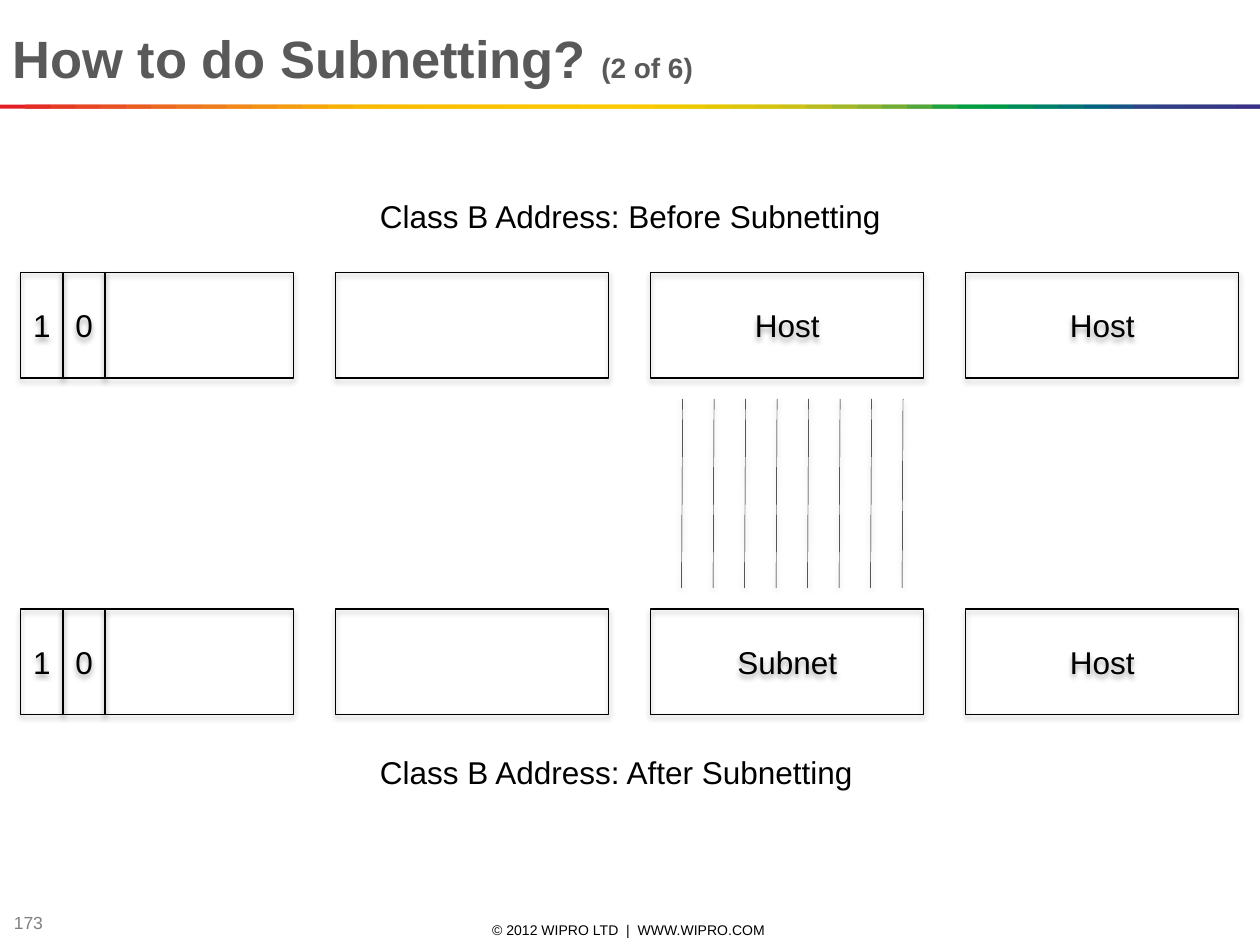
from pptx import Presentation
from pptx.dml.color import RGBColor
from pptx.enum.shapes import MSO_CONNECTOR, MSO_SHAPE
from pptx.enum.text import MSO_ANCHOR, PP_ALIGN
from pptx.oxml import parse_xml
from pptx.oxml.ns import nsdecls
from pptx.util import Cm, Pt

RECT = MSO_SHAPE.RECTANGLE
STRAIGHT = MSO_CONNECTOR.STRAIGHT
TOP, MIDDLE = MSO_ANCHOR.TOP, MSO_ANCHOR.MIDDLE
LEFT, CENTER = PP_ALIGN.LEFT, PP_ALIGN.CENTER

FONT = "Arial"
BLACK, GREY, DARK = "000000", "808080", "595959"
WIDTH, HEIGHT = 25.4, 19.05

BAND = """
E31E24 E42C24 E53A24 E74623 E85122 EA5D21 EC691F EE741D EF7E1A F18817
F39314 F49C0F F6A607 F8B002 FBBA00 FBBB00 FBBD00 FCBF00 FCC000 FCC200
FDC400 FDC600 FDC700 FEC900 FECB00 FBCB00 F3CA00 ECC800 E4C602 DCC50A
D5C30E CCC117 B8BC21 A3B829 8CB230 71AD36 51A73B 1DA240 009D43 009846
008C57 008068 007275 00637F 185384 2E4285 313E85 333B85 353885 393185
""".split()

# Address rows: four octets, the first one led by two bit cells
ROW_X, PITCH = 0.42, 6.35
OCTET_W, OCTET_H, BIT_W = 5.5, 2.12, 0.85
BEFORE_Y, AFTER_Y = 5.5, 12.28


def color(code):
    return RGBColor.from_string(code)


def add_run(para, text, size, code=BLACK, bold=False):
    run = para.add_run()
    run.text = text
    font = run.font
    font.name, font.size, font.bold = FONT, Pt(size), bold
    font.color.rgb = color(code)


def add_text(slide, x, y, w, h, runs, align=LEFT, anchor=TOP, wrap=True):
    """Add a one-line text box; each run is (text, size, colour, bold)."""
    box = slide.shapes.add_textbox(Cm(x), Cm(y), Cm(w), Cm(h))
    frame = box.text_frame
    frame.word_wrap, frame.vertical_anchor = wrap, anchor
    if anchor == MIDDLE:
        frame.margin_top = frame.margin_bottom = 0
    para = frame.paragraphs[0]
    para.alignment = align
    for run in runs:
        add_run(para, *run)


def add_shadow(shape, alpha, dist):
    """Cast a soft black shadow straight down (alpha in percent, dist in EMU)."""
    shape._element.spPr.append(parse_xml(
        f'<a:effectLst {nsdecls("a")}>'
        f'<a:outerShdw blurRad="40000" dist="{dist}" dir="5400000" rotWithShape="0">'
        f'<a:srgbClr val="{BLACK}"><a:alpha val="{alpha * 1000}"/></a:srgbClr>'
        '</a:outerShdw></a:effectLst>'))


def add_cell(slide, x, y, w, text=""):
    cell = slide.shapes.add_shape(RECT, Cm(x), Cm(y), Cm(w), Cm(OCTET_H))
    cell.fill.background()
    cell.line.color.rgb = color(BLACK)
    cell.line.width = Pt(0.75)
    add_shadow(cell, 35, 23000)
    if text:
        frame = cell.text_frame
        frame.margin_left = frame.margin_right = 0
        frame.vertical_anchor = MIDDLE
        para = frame.paragraphs[0]
        para.alignment = CENTER
        add_run(para, text, 18)


def add_row(slide, y, third):
    for i, text in enumerate(("", third, "Host"), start=1):
        add_cell(slide, ROW_X + i * PITCH, y, OCTET_W, text)
    rest = ROW_X + 2 * BIT_W
    add_cell(slide, rest, y, OCTET_W - 2 * BIT_W)
    for i, bit in enumerate("10"):
        add_cell(slide, ROW_X + i * BIT_W, y, BIT_W, bit)


def add_line(slide, x, top, bottom):
    line = slide.shapes.add_connector(
        STRAIGHT, Cm(x), Cm(top), Cm(x - 0.02), Cm(bottom))
    line.line.color.rgb = color(BLACK)
    line.line.width = Pt(0.25)
    add_shadow(line, 38, 20000)


def add_band(slide):
    step = WIDTH / len(BAND)
    for i, code in enumerate(BAND):
        x = i * step
        strip = slide.shapes.add_shape(
            RECT, Cm(x), Cm(2.11), Cm(min(2 * step, WIDTH - x)), Cm(0.08))
        strip.shadow.inherit = False
        strip.fill.solid()
        strip.fill.fore_color.rgb = color(code)
        strip.line.fill.background()


def main():
    prs = Presentation()
    prs.slide_width, prs.slide_height = Cm(WIDTH), Cm(HEIGHT)
    slide = prs.slides.add_slide(prs.slide_layouts[6])

    add_text(slide, 8.69, 18.54, 8.05, 0.41,
             [("© 2012 WIPRO LTD  |  WWW.WIPRO.COM ", 8)], CENTER, MIDDLE)
    add_text(slide, 0.03, 18.34, 1.9, 0.53, [("173", 10, GREY)], anchor=MIDDLE)
    add_band(slide)
    add_text(slide, 0, 0.41, WIDTH, 1.55,
             [("How to do Subnetting? ", 30, DARK, True),
              ("(2 of 6)", 16, DARK, True)])

    add_row(slide, BEFORE_Y, "Host")
    add_row(slide, AFTER_Y, "Subnet")
    for bit in range(8):
        add_line(slide, 13.76 + bit * 0.635, 8.04, 11.85)

    add_text(slide, 7.41, 3.84, 10.69, 1.02,
             [("Class B Address: Before Subnetting", 18)], wrap=False)
    add_text(slide, 7.41, 15.06, 10.13, 1.02,
             [("Class B Address: After Subnetting", 18)], wrap=False)
    prs.save("out.pptx")


if __name__ == "__main__":
    main()
